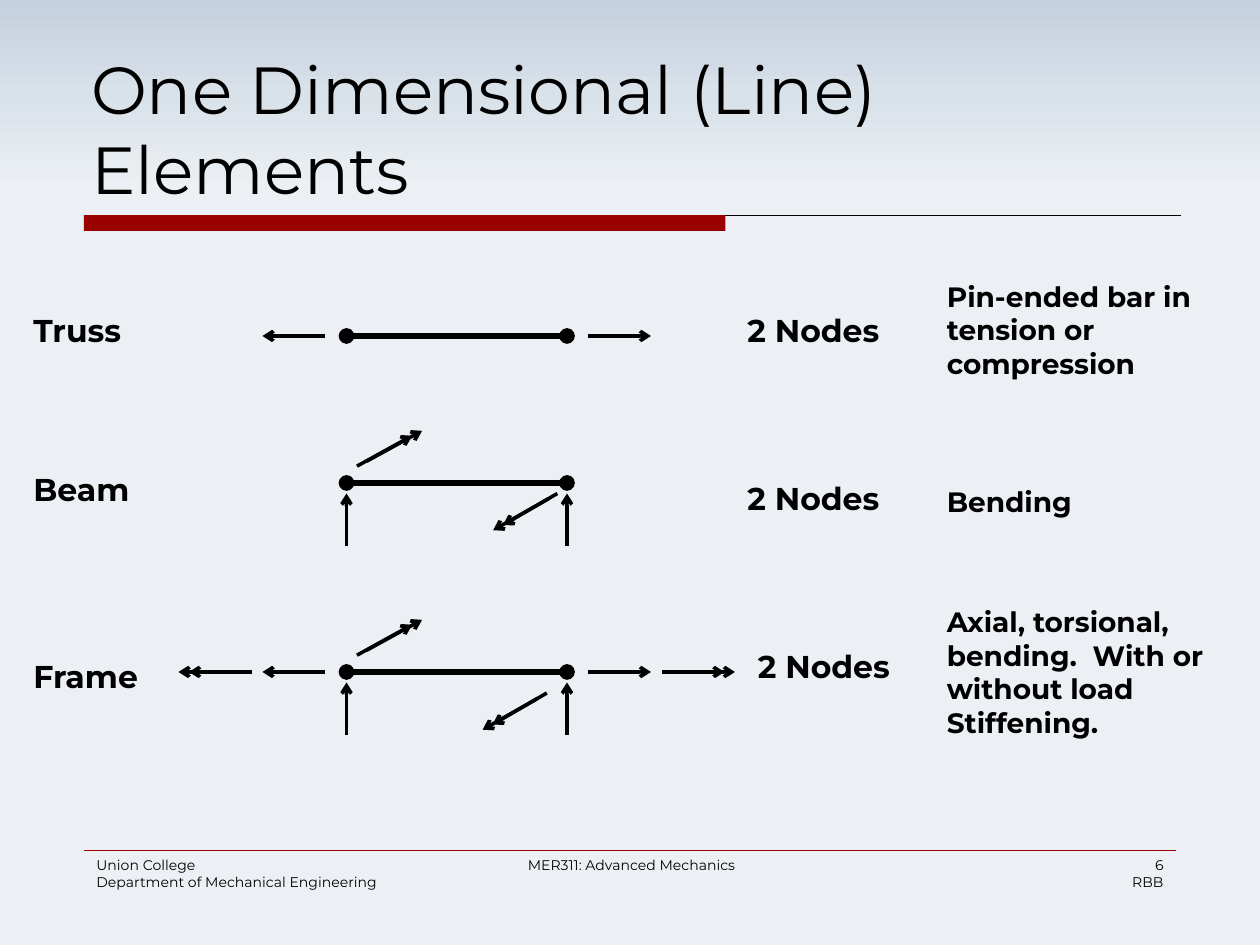
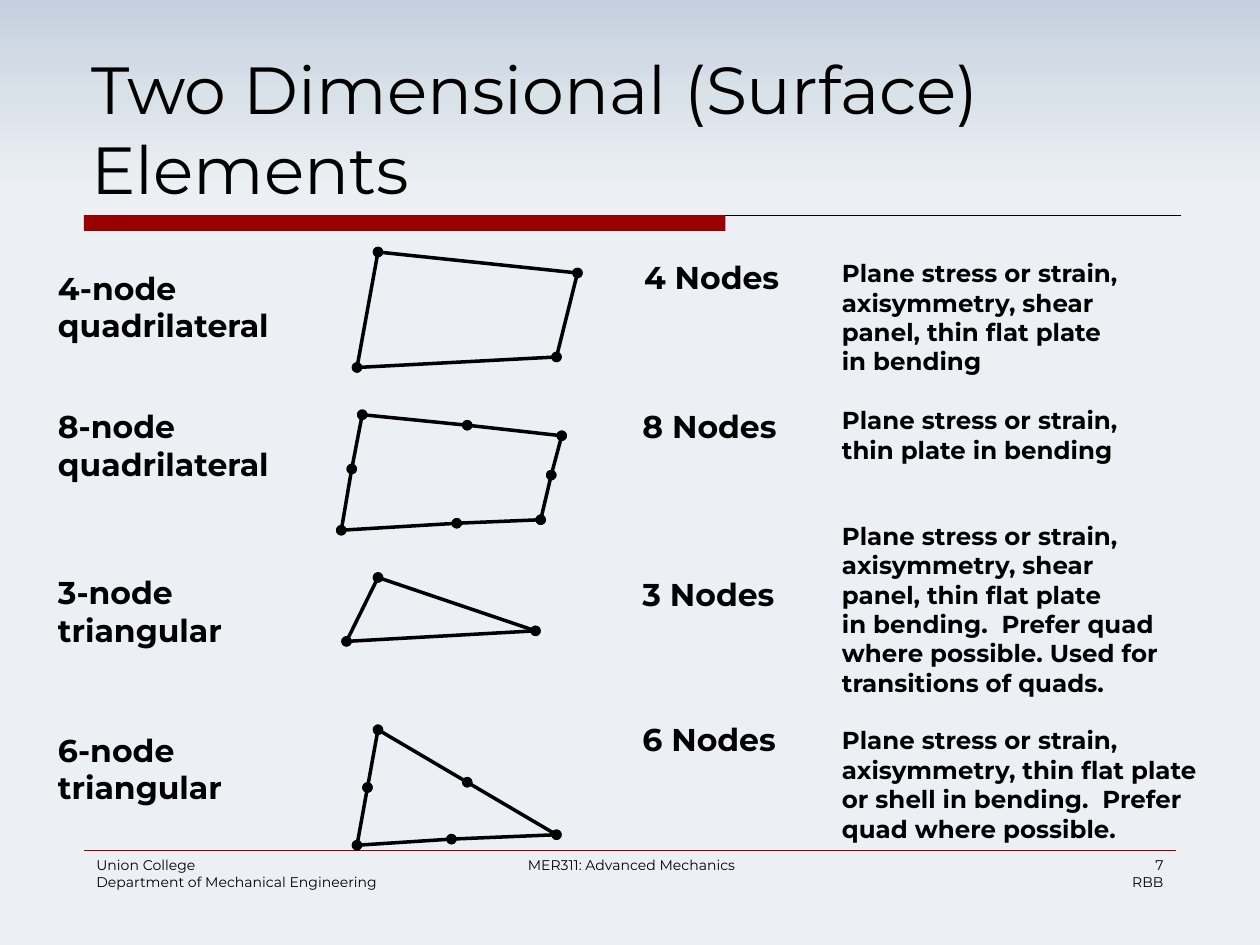
from copy import deepcopy
from lxml import etree
from pptx import Presentation
from pptx.dml.color import RGBColor
from pptx.enum import shapes, text
from pptx.oxml.ns import qn
from pptx.util import Pt

# Shared look
FONT, INK, RED = "Montserrat", "000000", "990000"
BACKDROP = [(0, "C4D0DE"), (0.1, "D9E1E9"), (0.2, "ECF0F4")]
TITLE = {"size": Pt(38)}
FOOTER = {"size": Pt(8)}
LABEL = {"size": Pt(18), "bold": True}
LEFT, RIGHT = text.PP_ALIGN.LEFT, text.PP_ALIGN.RIGHT
CENTER = text.PP_ALIGN.CENTER

# Line elements: node height, loads, then (left, top, width, lines) per text
NODE_LEFT, NODE_RIGHT = 198, 324
LINE_ELEMENTS = [
    {"y": 192, "loads": ["axial"],
     "name": (12, 174, 70, ["Truss"]),
     "nodes": (420, 174, 95, ["2 Nodes"]),
     "use": (534, 156, 157, ["Pin-ended bar in", "tension or", "compression"])},
    {"y": 276, "loads": ["shear", "moment"], "moment_shift": (6, -6),
     "name": (12, 265, 71, ["Beam"]),
     "nodes": (420, 270, 95, ["2 Nodes"]),
     "use": (534, 273.5, 86, ["Bending"])},
    {"y": 384, "loads": ["axial", "torsion", "shear", "moment"],
     "name": (12, 372, 77, ["Frame"]),
     "nodes": (426, 366, 95, ["2 Nodes"]),
     "use": (534, 342, 169, ["Axial, torsional,", "bending.  With or",
                             "without load", "Stiffening."])},
]
# Arrows as (x1, y1, x2, y2) measured from the left and the right node
LOADS = {
    "axial": ([(-12, 0, -48, 0)], [(12, 0, 48, 0)]),
    "torsion": ([(-54, 0, -90, 0), (-60, 0, -96, 0)],
                [(54, 0, 90, 0), (60, 0, 96, 0)]),
    "shear": ([(0, 36, 0, 6)], [(0, 36, 0, 6)]),
    "moment": ([(6, -9.6, 37.5, -27), (11.5, -12.4, 43.2, -29.8)],
               [(-11.5, 12, -42.5, 30), (-16.6, 15, -48.2, 33)]),
}

# Surface elements: outline nodes in order; "rows" counts lines after wrapping
SURFACE_ELEMENTS = [
    {"outline": [(216, 144), (330, 156), (318, 204), (204, 210)],
     "name": (26, 150, 142, ["4-node", "quadrilateral"]),
     "nodes": (361, 144, 95, ["4 Nodes"]),
     "use": (474, 144, 186, ["Plane stress or strain,", "axisymmetry, shear",
                             "panel, thin flat plate", "in bending"])},
    {"outline": [(207, 237), (267, 243), (321, 249), (315, 271.5),
                 (309, 297), (261, 299), (195, 303), (201, 268)],
     "name": (26, 229, 142, ["8-node", "quadrilateral"]),
     "nodes": (360, 229, 95, ["8 Nodes"]),
     "use": (474, 228, 186, ["Plane stress or strain,", "thin plate in bending"])},
    {"outline": [(216, 330), (306, 360.5), (198, 366.5)],
     "name": (26, 324, 112, ["3-node", "triangular"]),
     "nodes": (360, 325, 95, ["3 Nodes"]),
     "use": (474, 294, 234, ["Plane stress or strain,", "axisymmetry, shear",
                             "panel, thin flat plate",
                             "in bending.  Prefer quad where possible. "
                             "Used for transitions of quads."]),
     "rows": 6},
    {"outline": [(216, 417), (267, 447), (318, 477), (258, 479.5),
                 (204, 483), (210, 450)],
     "name": (26, 414, 112, ["6-node", "triangular"]),
     "nodes": (360, 408, 95, ["6 Nodes"]),
     "use": (474, 411, 246, ["Plane stress or strain,",
                             "axisymmetry, thin flat plate",
                             "or shell in bending.  Prefer quad where possible."]),
     "rows": 4},
]


def rgb(value):
    return RGBColor.from_string(value)


def apply(obj, fmt):
    for key, value in fmt.items():
        setattr(obj, key, value)


def add_text(s, x, y, w, lines, font, h=None, rows=None, wrap=False, align=LEFT):
    grow = h is None
    if grow:
        h = (rows or len(lines)) * font["size"].pt * 1.2 + 7.2
    sp = s.shapes.add_textbox(Pt(x), Pt(y), Pt(w), Pt(h))
    tf = sp.text_frame
    size = text.MSO_AUTO_SIZE
    apply(tf, {"word_wrap": wrap,
               "auto_size": size.SHAPE_TO_FIT_TEXT if grow else size.NONE})
    for i, line in enumerate(lines):
        p = tf.add_paragraph() if i else tf.paragraphs[0]
        p.alignment = align
        r = p.add_run()
        r.text = line
        apply(r.font, {"name": FONT, **font})
        r.font.color.rgb = rgb(INK)


def add_line(s, x1, y1, x2, y2, width=2, color=INK, head=None, tail=None):
    c = s.shapes.add_connector(shapes.MSO_CONNECTOR.STRAIGHT,
                               Pt(x1), Pt(y1), Pt(x2), Pt(y2))
    c.line.width = Pt(width)
    c.line.color.rgb = rgb(color)
    ln = c.line._get_or_add_ln()
    for tag, kind in (("a:headEnd", head), ("a:tailEnd", tail)):
        if kind:
            etree.SubElement(ln, qn(tag), type=kind)
    etree.SubElement(ln.getparent(), qn("a:effectLst"))


def add_base(prs, title, number):
    s = prs.slides.add_slide(prs.slide_layouts[6])
    # Background gradient
    fill = s.background.fill
    fill.gradient()
    fill.gradient_angle = 270
    last = list(s.element.iter(qn("a:gs")))[-1]
    last.addnext(deepcopy(last))
    for stop, (position, color) in zip(fill.gradient_stops, BACKDROP):
        stop.color.rgb = rgb(color)
        stop.position = position
    # Title with its band
    add_line(s, 48, 123, 675, 123, 0.75)
    band = s.shapes.add_shape(shapes.MSO_SHAPE.RECTANGLE,
                              Pt(48), Pt(123), Pt(366.5), Pt(9))
    band.shadow.inherit = False
    band.fill.solid()
    band.fill.fore_color.rgb = rgb(RED)
    band.line.fill.background()
    add_text(s, 45, 24, 630, [title], TITLE, h=96, wrap=True)
    # Footer
    add_line(s, 48, 486, 672, 486, 0.25, RED)
    for x, w, lines, align in [
        (48, 198, ["Union College", "Department of Mechanical Engineering"], LEFT),
        (274, 174, ["MER311: Advanced Mechanics"], CENTER),
        (504, 168, [str(number), "RBB"], RIGHT),
    ]:
        add_text(s, x, 486, w, lines, FOOTER, h=29, wrap=True, align=align)
    return s


def add_labels(s, element, use_size):
    add_text(s, *element["name"], LABEL)
    add_text(s, *element["nodes"], LABEL)
    rows = element.get("rows")
    add_text(s, *element["use"], {**LABEL, "size": Pt(use_size)},
             rows=rows, wrap=bool(rows))


def add_line_element(s, element):
    y = element["y"]
    add_line(s, NODE_LEFT, y, NODE_RIGHT, y, 3, head="oval", tail="oval")
    for load in element["loads"]:
        for node, arrows in zip((NODE_LEFT, NODE_RIGHT), LOADS[load]):
            dx, dy = 0, 0
            if load == "moment" and node == NODE_RIGHT:
                dx, dy = element.get("moment_shift", (0, 0))
            for x1, y1, x2, y2 in arrows:
                add_line(s, node + dx + x1, y + dy + y1,
                         node + dx + x2, y + dy + y2, tail="arrow")


def add_surface_element(s, element):
    nodes = element["outline"]
    for start, end in zip(nodes, nodes[1:] + nodes[:1]):
        add_line(s, *start, *end, head="oval", tail="oval")


def main():
    prs = Presentation()
    apply(prs, {"slide_width": Pt(720), "slide_height": Pt(540)})
    for number, title, elements, draw, use_size in [
        (6, "One Dimensional (Line) Elements", LINE_ELEMENTS, add_line_element, 16),
        (7, "Two Dimensional (Surface) Elements", SURFACE_ELEMENTS,
         add_surface_element, 14),
    ]:
        s = add_base(prs, title, number)
        for element in elements:
            draw(s, element)
            add_labels(s, element, use_size)
    prs.save("out.pptx")


if __name__ == "__main__":
    main()
